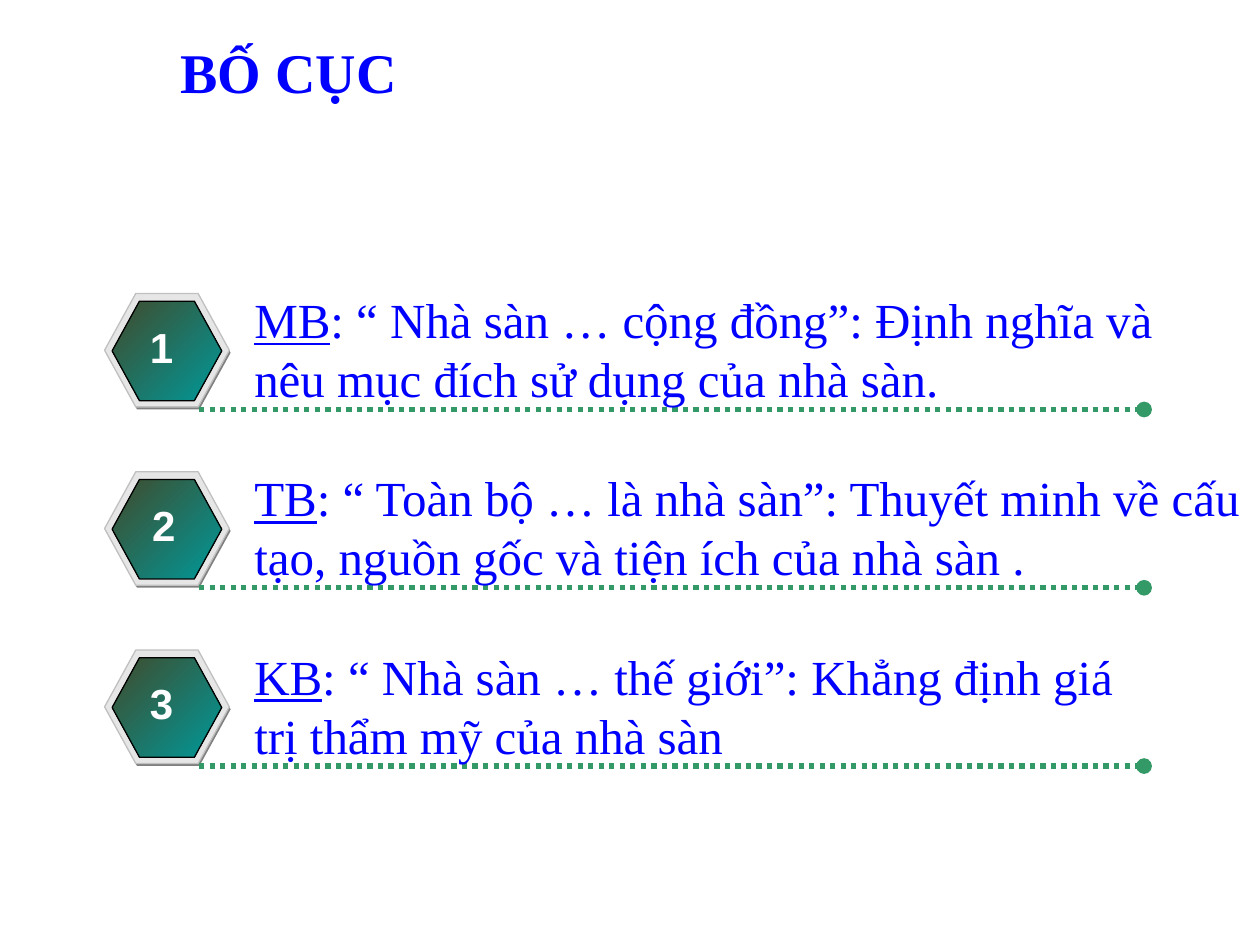
from pptx import Presentation
from pptx.dml.color import RGBColor
from pptx.enum import dml, shapes, text
from pptx.oxml import ns, xmlchemy
from pptx.util import Inches, Pt

SECTIONS = [
    ("MB", ": “ Nhà sàn … cộng đồng”: Định nghĩa và nêu mục đích sử dụng của nhà sàn.", 7.33, 1.09),
    ("TB", ": “ Toàn bộ … là nhà sàn”: Thuyết minh về cấu tạo, nguồn gốc và tiện ích của nhà sàn .", 8.08, 1.11),
    ("KB", ": “ Nhà sàn … thế giới”: Khẳng định giá trị thẩm mỹ của nhà sàn", 7.33, 1.09),
]
FIRST_TOP, PITCH = 2.25, 1.415


def rgb(value):
    """Turn a hex string into a colour."""
    return RGBColor.from_string(value)


def write(paragraph, words, size=28, font="Times New Roman", color="0000FF", bold=False, underline=False):
    """Append one formatted run to a paragraph."""
    run = paragraph.add_run()
    run.text = words
    run.font.size, run.font.name = Pt(size), font
    run.font.bold, run.font.underline = bold, underline
    run.font.color.rgb = rgb(color)


class Outline:
    """Holds the slide and the style of the outline."""

    blue, green, white = "0000FF", "339966", "FFFFFF"
    gradient = ("414B2C", "009999")

    def __init__(self, slide):
        """Keep the current slide."""
        self.slide = slide

    def title(self, words):
        """Place the heading in the title placeholder."""
        heading = self.slide.shapes.title
        heading.left, heading.top, heading.width, heading.height = map(Inches, (1.33, 0.25, 3, 0.64))
        frame = heading.text_frame
        frame.word_wrap = True
        frame.auto_size = text.MSO_AUTO_SIZE.NONE
        frame.vertical_anchor = text.MSO_ANCHOR.TOP
        frame.paragraphs[0].alignment = text.PP_ALIGN.LEFT
        write(frame.paragraphs[0], words, size=32, color=self.blue, bold=True)

    def hexagon(self, group, left, top, width, height, fills, outline=None):
        """Add one hexagon layer with a solid or gradient fill."""
        layer = group.shapes.add_shape(
            shapes.MSO_SHAPE.HEXAGON, *map(Inches, (left, top, width, height)))
        layer.shadow.inherit = False
        layer.adjustments[0] = 0.275
        if len(fills) == 1:
            layer.fill.solid()
            layer.fill.fore_color.rgb = rgb(fills[0])
        else:
            layer.fill.gradient()
            layer.fill.gradient_angle = 315
            for stop, color in zip(layer.fill.gradient_stops, fills):
                stop.color.rgb = rgb(color)
        if outline:
            layer.line.color.rgb = rgb(outline)
            layer.line.width = Pt(0.75)
        else:
            layer.line.fill.background()

    def badge(self, top):
        """Stack the shade, rim and face of a hexagonal badge."""
        group = self.slide.shapes.add_group_shape()
        self.hexagon(group, 0.84, top + 0.1, 0.99, 0.9, ["808080"])
        self.hexagon(group, 0.83, top + 0.08, 0.99, 0.9, ["E6E6E6"], "C0C0C0")
        self.hexagon(group, 0.89, top + 0.14, 0.87, 0.79, self.gradient, "000000")

    def rule(self, y):
        """Draw a dotted rule that ends in a dot."""
        line = self.slide.shapes.add_connector(
            shapes.MSO_CONNECTOR.STRAIGHT, *map(Inches, (1.58, y, 9.08, y)))
        line.line.color.rgb = rgb(self.green)
        line.line.width = Pt(3)
        line.line.dash_style = dml.MSO_LINE.ROUND_DOT
        tail = xmlchemy.OxmlElement("a:tailEnd")
        tail.set("type", "oval")
        properties = line.line._get_or_add_ln()
        properties.append(tail)
        properties.getparent().append(xmlchemy.OxmlElement("a:effectLst"))

    def textbox(self, left, top, width, height, wrap=True):
        """Add a text box and return its first paragraph."""
        box = self.slide.shapes.add_textbox(*map(Inches, (left, top, width, height)))
        box.text_frame.word_wrap = wrap
        box.text_frame.auto_size = text.MSO_AUTO_SIZE.SHAPE_TO_FIT_TEXT
        return box.text_frame.paragraphs[0]

    def section(self, number, label, summary, width, number_left):
        """Add a numbered section with its badge, rule and summary."""
        top = FIRST_TOP + (number - 1) * PITCH
        self.badge(top)
        self.rule(top + 1)
        body = self.textbox(1.92, top, width, 1.04)
        write(body, label, color=self.blue, underline=True)
        write(body, summary, color=self.blue)
        digit = self.textbox(number_left, top + 0.25, 0.38, 0.5, wrap=False)
        digit.alignment = text.PP_ALIGN.CENTER
        write(digit, str(number), size=24, font="Arial", color=self.white, bold=True)


def main():
    """Build and save the outline slide."""
    deck = Presentation()
    deck.slide_width, deck.slide_height = Inches(10), Inches(7.5)
    outline = Outline(deck.slides.add_slide(deck.slide_layouts[5]))
    outline.title("BỐ CỤC")
    for number, section in enumerate(SECTIONS, 1):
        outline.section(number, *section)
    deck.save("out.pptx")


if __name__ == "__main__":
    main()
